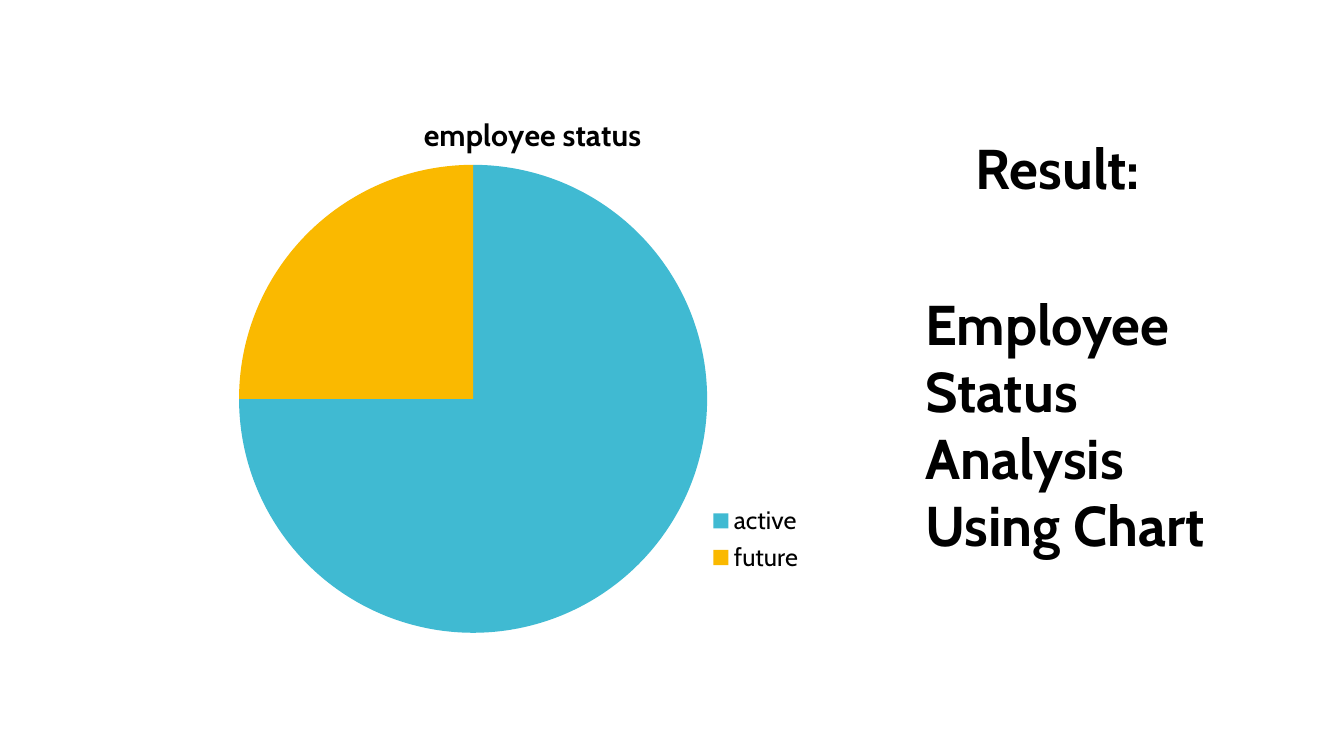
from lxml import etree
from pptx import Presentation
from pptx.chart.data import CategoryChartData
from pptx.dml.color import RGBColor
from pptx.enum.chart import XL_CHART_TYPE as ChartType, XL_LEGEND_POSITION as LegendPosition
from pptx.oxml.ns import qn
from pptx.util import Inches, Pt

BLACK = RGBColor(0x00, 0x00, 0x00)
TEAL = RGBColor(0x40, 0xBA, 0xD2)
AMBER = RGBColor(0xFA, 0xB9, 0x00)
FONT = "Cabin"


def style_font(font, size, bold):
    font.name = FONT
    font.size = Pt(size)
    font.bold = bold
    font.color.rgb = BLACK


def add_heading(slide, left, top, width, height, lines):
    shape = slide.shapes.add_textbox(Inches(left), Inches(top), Inches(width), Inches(height))
    shape.text_frame.word_wrap = True
    shape.text_frame.text = "\n".join(lines)
    for paragraph in shape.text_frame.paragraphs:
        for run in paragraph.runs:
            style_font(run.font, 40, True)


def place_in_chart(element, index, **settings):
    """Give a chart part a manual layout, as fractions of the chart, at a child index."""
    for automatic in element.findall(qn("c:layout")):
        element.remove(automatic)
    layout = etree.Element(qn("c:layout"))
    manual = etree.SubElement(layout, qn("c:manualLayout"))
    for name, value in settings.items():
        etree.SubElement(manual, qn(f"c:{name}")).set("val", str(value))
    element.insert(index, layout)


def add_status_pie(slide):
    data = CategoryChartData()
    data.categories = ["active", "future"]
    data.add_series("employee status", [75, 25])
    chart = slide.shapes.add_chart(
        ChartType.PIE, Inches(2.22), Inches(0.79), Inches(6.03), Inches(5.63), data
    ).chart
    style_font(chart.font, 18, False)

    chart.has_title = True
    title = chart.chart_title
    title.text_frame.text = "employee status"
    style_font(title.text_frame.paragraphs[0].runs[0].font, 21.6, True)
    title.include_in_layout = False

    chart.has_legend = True
    chart.legend.position = LegendPosition.RIGHT
    chart.legend.include_in_layout = False
    style_font(chart.legend.font, 18, False)

    plot = chart.plots[0]
    plot.vary_by_categories = True
    for index, color in enumerate([TEAL, AMBER]):
        fill = plot.series[0].points[index].format.fill
        fill.solid()
        fill.fore_color.rgb = color

    plot_area = chart.element.find(".//" + qn("c:plotArea"))
    place_in_chart(plot_area, 0, layoutTarget="inner", xMode="edge", yMode="edge",
                   x=0.025, y=0.15, w=0.77, h=0.825)
    title_element = chart.element.find(".//" + qn("c:title"))
    place_in_chart(title_element, 1, xMode="edge", yMode="edge", x=0.32, y=0.05)
    legend_element = chart.element.find(".//" + qn("c:legend"))
    place_in_chart(legend_element, 1, xMode="edge", yMode="edge",
                   x=0.78, y=0.74, w=0.19, h=0.14)


def main():
    presentation = Presentation()
    presentation.slide_width = Inches(13.33)
    presentation.slide_height = Inches(7.5)
    slide = presentation.slides.add_slide(presentation.slide_layouts[6])
    add_heading(slide, 9.08, 2.82, 3.48, 2.79, ["Employee", "Status Analysis Using Chart"])
    add_heading(slide, 9.58, 1.28, 2, 0.77, ["Result:"])
    add_status_pie(slide)
    presentation.save("out.pptx")


if __name__ == "__main__":
    main()
